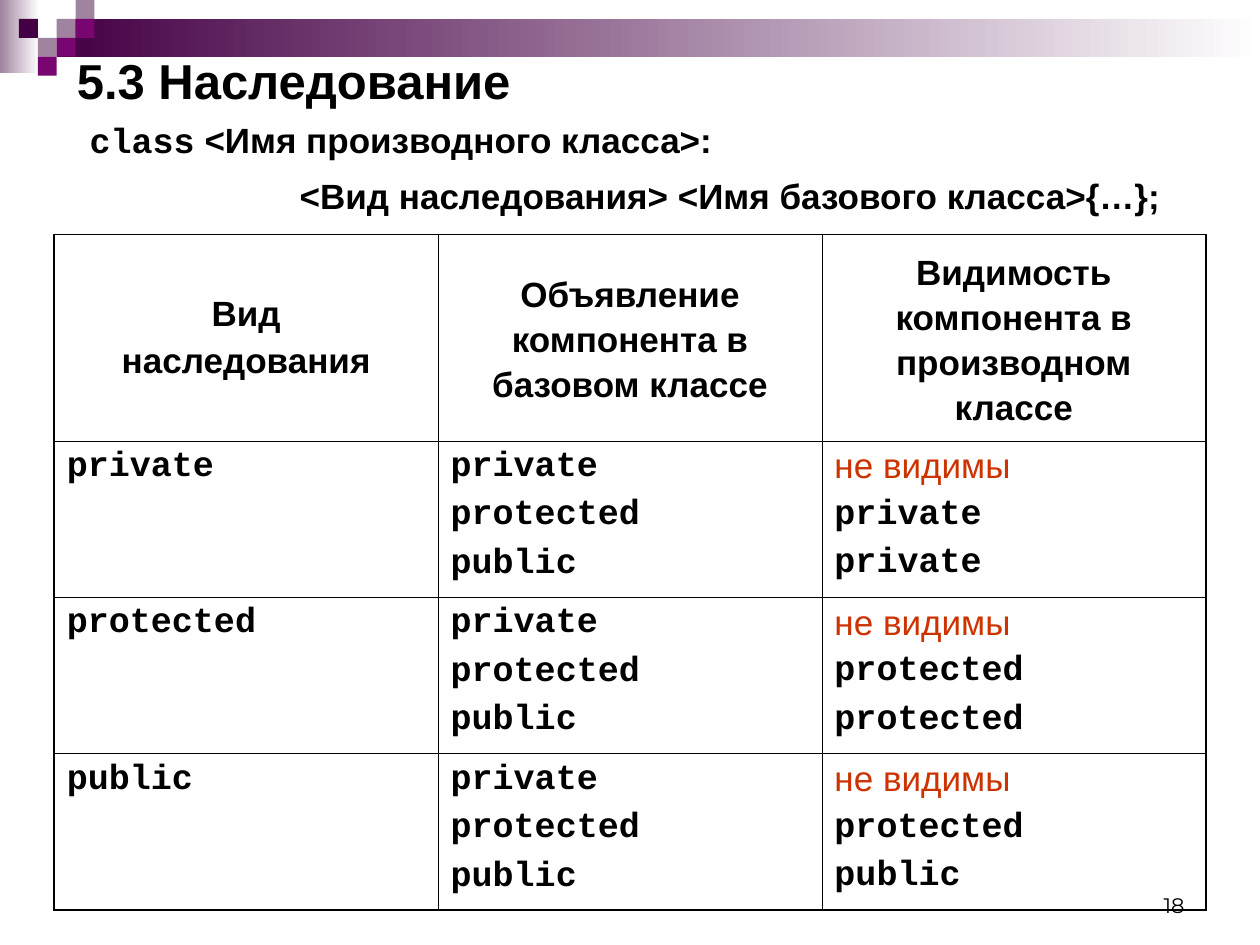
"""Build the slide on C++ inheritance kinds and member visibility."""
from typing import NamedTuple

from lxml import etree
from pptx import Presentation
from pptx.dml.color import RGBColor
from pptx.enum.shapes import MSO_SHAPE
from pptx.enum.text import MSO_ANCHOR, MSO_AUTO_SIZE, PP_ALIGN
from pptx.oxml.ns import qn
from pptx.util import Pt

RECTANGLE = MSO_SHAPE.RECTANGLE
MIDDLE, TOP, BOTTOM = MSO_ANCHOR.MIDDLE, MSO_ANCHOR.TOP, MSO_ANCHOR.BOTTOM
LEFT, CENTER, RIGHT = PP_ALIGN.LEFT, PP_ALIGN.CENTER, PP_ALIGN.RIGHT
NO_AUTOFIT = MSO_AUTO_SIZE.NONE

BLACK = RGBColor(0x00, 0x00, 0x00)
WHITE = RGBColor(0xFF, 0xFF, 0xFF)
PLUM = RGBColor(0x44, 0x00, 0x44)
MAUVE = RGBColor(0x9F, 0x83, 0x9F)
MAGENTA = RGBColor(0x79, 0x05, 0x71)
RED = RGBColor(0xCC, 0x33, 0x00)

SANS, MONO, NUMBER_FONT = "Arial", "Courier New", "Montserrat"
TILE = 10.8
OUTER, INNER = 1.08, 0.45


class Band(NamedTuple):
    left: float
    top: float
    width: float
    height: float
    start: RGBColor


class Tile(NamedTuple):
    column: int
    row: int
    color: RGBColor


class Style(NamedTuple):
    font: str = SANS
    size: float = 20
    color: RGBColor = BLACK
    bold: bool = True


class Line(NamedTuple):
    text: str
    style: Style = Style()
    spacing: float = 1


HEADING, CODE = Style(), Style(font=MONO)
HIDDEN = Line("не видимы", Style(color=RED, bold=False))

BANDS = [Band(0, 0, 22.3, 41.8, MAUVE), Band(32.4, TILE, 687.6, 2 * TILE, PLUM)]
TILES = [
    Tile(3, 1, MAUVE), Tile(4, 0, MAUVE), Tile(4, 1, MAGENTA), Tile(2, 2, MAUVE),
    Tile(1, 1, PLUM), Tile(3, 2, MAGENTA), Tile(2, 3, MAGENTA),
]
HEADERS = [
    [Line("Вид"), Line("наследования")],
    [Line("Объявление компонента в базовом классе", spacing=1.15)],
    [Line("Видимость компонента в производном классе", spacing=1.15)],
]
ACCESS = ["private", "protected", "public"]
VISIBILITY = {
    "private": ["private", "private"],
    "protected": ["protected", "protected"],
    "public": ["protected", "public"],
}


def apply_style(font, style: Style) -> None:
    font.name, font.size, font.bold = style.font, Pt(style.size), style.bold
    font.color.rgb = style.color


def write_lines(frame, lines: list[Line], align: PP_ALIGN) -> None:
    for index, line in enumerate(lines):
        paragraph = frame.add_paragraph() if index else frame.paragraphs[0]
        paragraph.text = line.text
        paragraph.alignment = align
        paragraph.line_spacing = line.spacing
        paragraph.space_before = Pt(5 if index else 0)
        apply_style(paragraph.font, line.style)


def place(shape, left: float, top: float, width: float, height: float) -> None:
    shape.left, shape.top = Pt(left), Pt(top)
    shape.width, shape.height = Pt(width), Pt(height)


def add_block(slide, left: float, top: float, width: float, height: float):
    block = slide.shapes.add_shape(RECTANGLE, Pt(left), Pt(top), Pt(width), Pt(height))
    block.shadow.inherit = False
    block.line.fill.background()
    return block


def add_band(slide, band: Band) -> None:
    fill = add_block(slide, band.left, band.top, band.width, band.height).fill
    fill.gradient()
    fill.gradient_angle = 0
    for stop, color in zip(fill.gradient_stops, (band.start, WHITE)):
        stop.color.rgb = color


def add_tile(slide, tile: Tile) -> None:
    fill = add_block(slide, tile.column * TILE, tile.row * TILE, TILE, TILE).fill
    fill.solid()
    fill.fore_color.rgb = tile.color


def set_borders(cell, widths: dict[str, float]) -> None:
    properties = cell._tc.get_or_add_tcPr()
    for side, width in widths.items():
        border = etree.SubElement(properties, qn(f"a:ln{side}"), w=str(Pt(width)))
        solid = etree.SubElement(border, qn("a:solidFill"))
        etree.SubElement(solid, qn("a:srgbClr"), val=str(BLACK))


def fill_title(title) -> None:
    place(title, 36.7, 31.7, 648, 28)
    title.text_frame.auto_size = NO_AUTOFIT
    title.text_frame.vertical_anchor = MIDDLE
    write_lines(title.text_frame, [Line("5.3 Наследование", Style(size=28))], LEFT)


def fill_syntax(body) -> None:
    place(body, 36, 54.7, 641.5, 90.7)
    frame = body.text_frame
    frame.auto_size = NO_AUTOFIT
    frame.margin_top = Pt(13)
    declaration, base = frame.paragraphs[0], frame.add_paragraph()
    for paragraph, indent, gap in ((declaration, 8, 0), (base, 128, 8)):
        properties = paragraph._p.get_or_add_pPr()
        properties.set("marL", str(Pt(indent)))
        properties.set("indent", "0")
        paragraph.space_before = Pt(gap)
        etree.SubElement(properties, qn("a:buNone"))
        apply_style(paragraph.font, HEADING)
    keyword = declaration.add_run()
    keyword.text = "class"
    keyword.font.name = MONO
    declaration.add_run().text = " <Имя производного класса>:"
    base.add_run().text = "<Вид наследования> <Имя базового класса>{…};"


def add_visibility_table(slide) -> None:
    rows = [HEADERS]
    for kind, visible in VISIBILITY.items():
        rows.append([
            [Line(kind, CODE)],
            [Line(access, CODE) for access in ACCESS],
            [HIDDEN] + [Line(access, CODE) for access in visible],
        ])
    last_row, last_column = len(rows) - 1, len(HEADERS) - 1
    table = slide.shapes.add_table(
        len(rows), len(HEADERS), Pt(31), Pt(134), Pt(658), Pt(386)
    ).table
    table.first_row = table.horz_banding = False
    for r, row in enumerate(rows):
        table.rows[r].height = Pt(89.4 if r else 118)
        for c, lines in enumerate(row):
            cell = table.cell(r, c)
            cell.vertical_anchor = TOP if r else MIDDLE
            set_borders(cell, {
                "L": INNER if c else OUTER,
                "R": OUTER if c == last_column else INNER,
                "T": INNER if r else OUTER,
                "B": OUTER if r == last_row else INNER,
            })
            cell.fill.background()
            write_lines(cell.text_frame, lines, LEFT if r else CENTER)


def add_page_number(slide) -> None:
    frame = slide.shapes.add_textbox(Pt(516), Pt(492), Pt(168), Pt(36)).text_frame
    frame.word_wrap = True
    frame.vertical_anchor = BOTTOM
    write_lines(frame, [Line("18", Style(NUMBER_FONT, 12, bold=False))], RIGHT)


def main() -> None:
    presentation = Presentation()
    presentation.slide_width, presentation.slide_height = Pt(720), Pt(540)
    slide = presentation.slides.add_slide(presentation.slide_layouts[1])
    for band in BANDS:
        add_band(slide, band)
    for tile in TILES:
        add_tile(slide, tile)
    add_page_number(slide)
    fill_title(slide.shapes.title)
    fill_syntax(slide.placeholders[1])
    add_visibility_table(slide)
    presentation.save("out.pptx")


if __name__ == "__main__":
    main()
